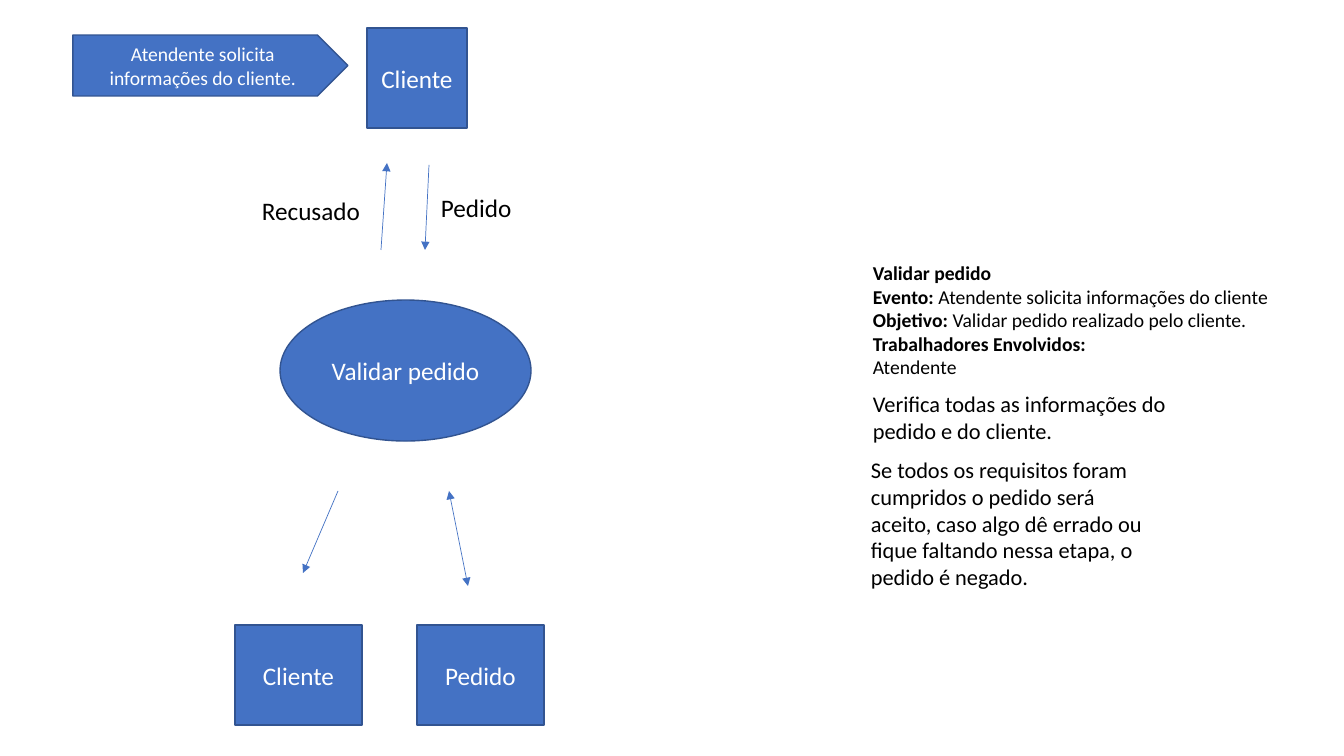
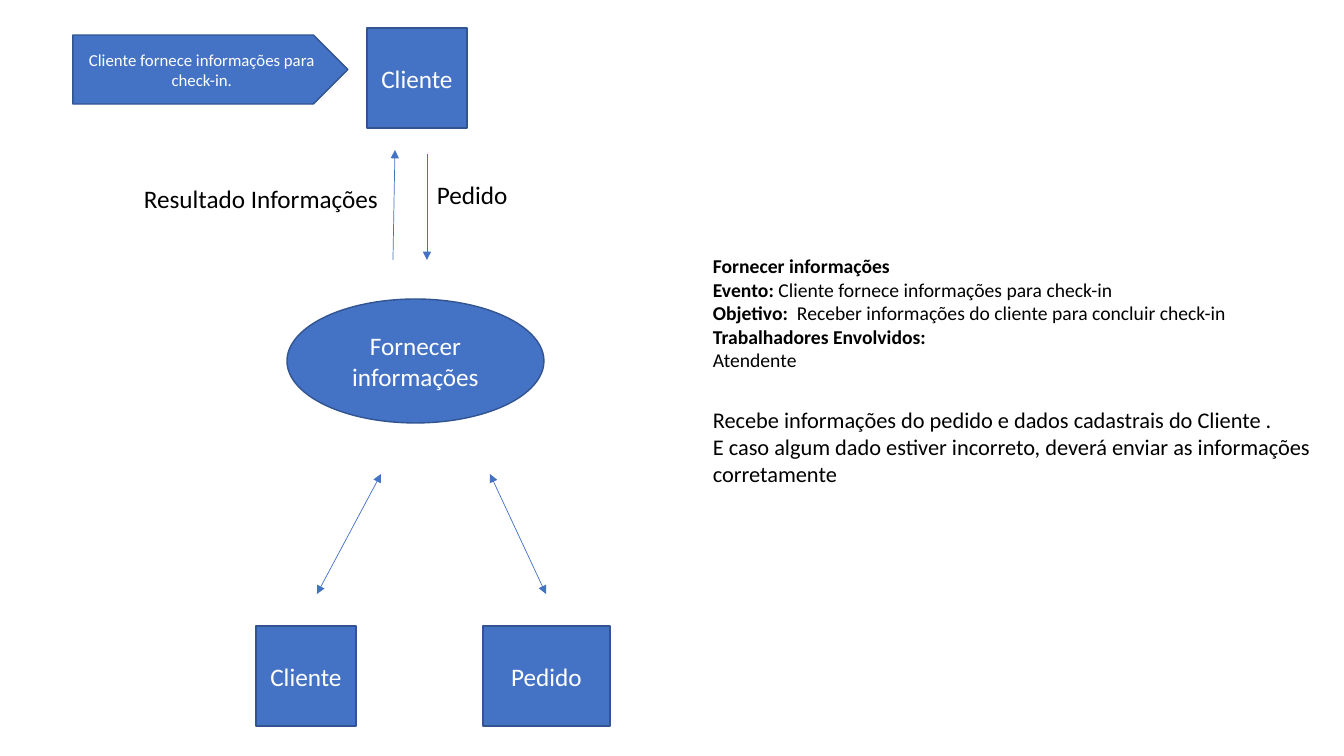
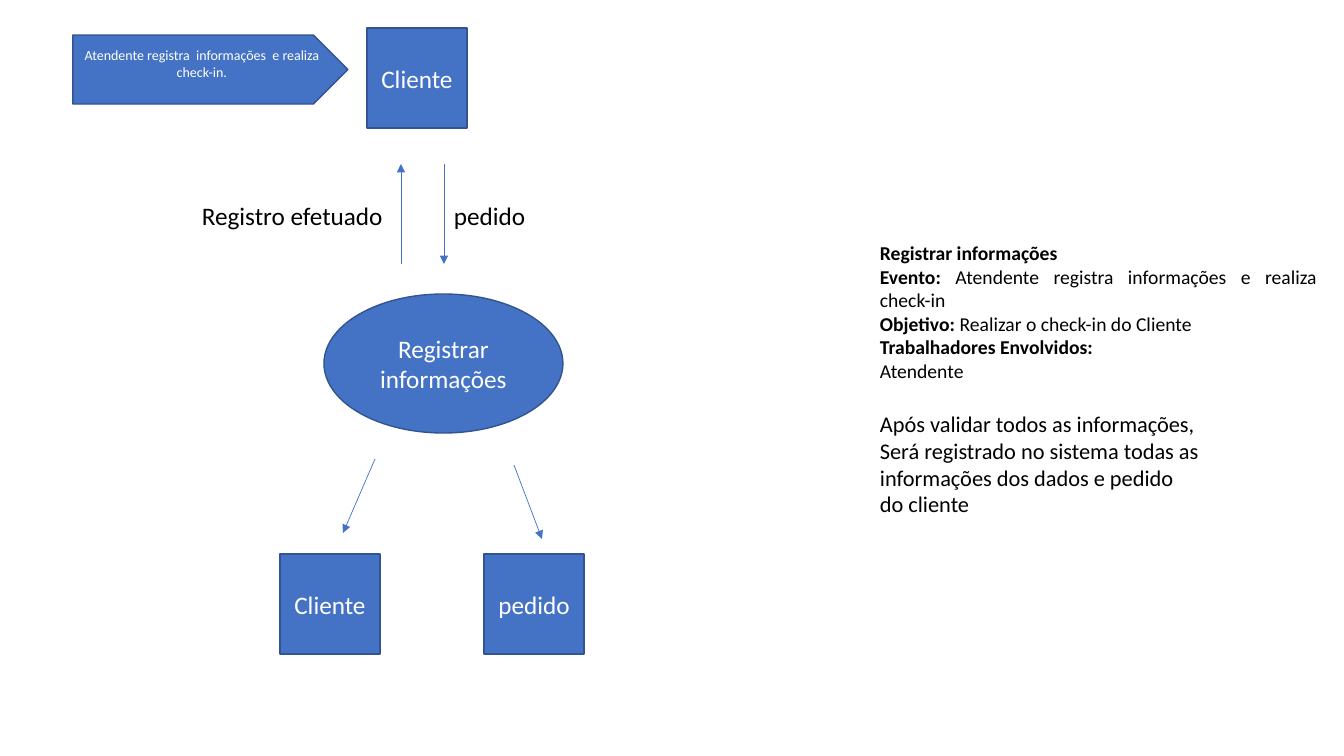
from lxml.etree import SubElement
from pptx import Presentation
from pptx.dml.color import RGBColor
from pptx.enum.shapes import MSO_CONNECTOR, MSO_SHAPE
from pptx.enum.text import MSO_ANCHOR, PP_ALIGN
from pptx.oxml.ns import qn
from pptx.util import Emu, Pt

# Content: boxes are (left, top, width, height), lengths in pixels
COLORS = {"fill": "4472C4", "outline": "325491", "light": "FFFFFF", "dark": "000000"}
FONT = "Calibri"
CLIENT_BOX = (367, 28, 100, 100)
FLAG_LEFT, FLAG_TOP, FLAG_WIDTH = 73, 35, 275
ONE_WAY, TWO_WAY = False, True

PROCESSES = [
    {
        "flag": ("Atendente solicita informações do cliente.", 61, 14, 0),
        "process": ("Validar\u00a0pedido", (280, 300, 251, 141)),
        "stores": [("Cliente", (235, 625, 127, 100)), ("Pedido", (417, 625, 127, 100))],
        "labels": [("Recusado", (252, 190, 170, 40)), ("Pedido", (431, 187, 197, 40))],
        "arrows": [
            ((381, 250), (387, 163), ONE_WAY),
            ((429, 165), (425, 250), ONE_WAY),
            ((338, 491), (303, 573), ONE_WAY),
            ((449, 491), (468, 586), TWO_WAY),
        ],
        "summary_box": (863, 256, 482, 129),
        "summary": [
            ("Validar pedido", ""),
            ("Evento: ", "Atendente solicita informações do cliente"),
            ("Objetivo:", "\u00a0Validar pedido realizado pelo cliente."),
        ],
        "details": [
            (["Verifica todas as informações do pedido e do cliente."], (863, 385, 342, 65)),
            (["Se todos os requisitos foram cumpridos o pedido será aceito, caso algo dê "
              "errado ou fique faltando nessa etapa, o pedido é negado."],
             (861, 451, 302, 146)),
        ],
    },
    {
        "flag": ("Cliente fornece informações para check-in.", 69, 12, 0),
        "process": ("Fornecer informações", (287, 299, 257, 124)),
        "stores": [("Cliente", (256, 626, 100, 100)), ("Pedido", (483, 626, 127, 100))],
        "labels": [("Resultado Informações", (134, 178, 262, 40)),
                   ("Pedido", (427, 174, 98, 40))],
        "arrows": [
            ((393, 260), (395, 150), ONE_WAY),
            ((427, 154), (427, 260), ONE_WAY),
            ((381, 474), (317, 594), TWO_WAY),
            ((490, 474), (546, 594), TWO_WAY),
        ],
        "summary_box": (703, 249, 538, 129),
        "summary": [
            ("Fornecer informações", ""),
            ("Evento: ", "Cliente fornece informações para check-in"),
            ("Objetivo:\u00a0", " Receber informações do cliente para concluir check-in"),
        ],
        "details": [
            (["Recebe informações do pedido e dados cadastrais do Cliente .",
              "E caso algum dado estiver incorreto, deverá enviar as informações corretamente"],
             (703, 401, 625, 92)),
        ],
    },
    {
        "flag": ("Atendente registra  informações  e realiza check-in.", 69, 10, 12),
        "process": ("Registrar informações", (324, 294, 239, 139)),
        "stores": [("Cliente", (280, 554, 100, 100)), ("pedido", (484, 554, 100, 100))],
        "labels": [("Registro efetuado", (192, 195, 302, 40)),
                   ("pedido", (444, 195, 197, 40))],
        "arrows": [
            ((401, 264), (401, 164), ONE_WAY),
            ((444, 164), (444, 264), ONE_WAY),
            ((375, 459), (343, 533), ONE_WAY),
            ((514, 465), (542, 539), ONE_WAY),
        ],
        "summary_box": (870, 236, 457, 152),
        "summary": [
            ("Registrar informações", ""),
            ("Evento: ", "Atendente registra informações e realiza check-in"),
            ("Objetivo:\u00a0", "Realizar o check-in do Cliente"),
        ],
        "details": [
            (["Após validar todos as informações, Será registrado no sistema todas as "
              "informações dos dados e pedido do cliente"], (870, 405, 342, 119)),
        ],
    },
]
WORKERS = [("Trabalhadores Envolvidos:", ""), ("", "Atendente")]


# Helpers
def px(length):
    return Emu(round(length * 914400 / 100.8))


def color(name):
    return RGBColor.from_string(COLORS[name])


def write(frame, lines, size, ink, align):
    """Each line is a (bold part, plain part) pair."""
    frame.word_wrap = True
    for index, parts in enumerate(lines):
        para = frame.add_paragraph() if index else frame.paragraphs[0]
        para.alignment = align
        para.font.name, para.font.size = FONT, Pt(size)
        para.font.color.rgb = color(ink)
        for text, bold in zip(parts, (True, False)):
            if text:
                span = para.add_run()
                span.text = text
                span.font.bold = bold


def add_block(page, kind, box, text, size=18):
    block = page.shapes.add_shape(kind, *map(px, box))
    block.shadow.inherit = False
    block.fill.solid()
    block.fill.fore_color.rgb = color("fill")
    block.line.color.rgb = color("outline")
    block.line.width = Pt(1)
    block.text_frame.vertical_anchor = MSO_ANCHOR.MIDDLE
    write(block.text_frame, [("", text)], size, "light", PP_ALIGN.CENTER)
    return block


def add_text(page, box, lines, size, align=PP_ALIGN.LEFT):
    frame = page.shapes.add_textbox(*map(px, box)).text_frame
    write(frame, lines, size, "dark", align)


def add_arrow(page, start, end, two_way):
    arrow = page.shapes.add_connector(MSO_CONNECTOR.STRAIGHT, *map(px, start + end))
    arrow.line.color.rgb = color("fill")
    arrow.line.width = Pt(0.5)
    outline = arrow.line._get_or_add_ln()
    for tag in ["a:headEnd", "a:tailEnd"] if two_way else ["a:tailEnd"]:
        SubElement(outline, qn(tag), type="triangle")
    SubElement(arrow._element.spPr, qn("a:effectLst"))


# Slides
deck = Presentation()
deck.slide_width, deck.slide_height = px(1344), px(756)

for item in PROCESSES:
    page = deck.slides.add_slide(deck.slide_layouts[6])

    # Flow diagram
    add_block(page, MSO_SHAPE.RECTANGLE, CLIENT_BOX, "Cliente")
    name, box = item["process"]
    add_block(page, MSO_SHAPE.OVAL, box, name)
    event, height, size, lift = item["flag"]
    flag = add_block(page, MSO_SHAPE.PENTAGON,
                     (FLAG_LEFT, FLAG_TOP, FLAG_WIDTH, height), event, size)
    flag.text_frame.margin_bottom += px(lift)
    for name, box in item["stores"]:
        add_block(page, MSO_SHAPE.RECTANGLE, box, name)
    for start, end, two_way in item["arrows"]:
        add_arrow(page, start, end, two_way)
    for name, box in item["labels"]:
        add_text(page, box, [("", name)], 18)

    # Description
    add_text(page, item["summary_box"], item["summary"] + WORKERS, 14, PP_ALIGN.JUSTIFY)
    for lines, box in item["details"]:
        add_text(page, box, [("", line) for line in lines], 16)

deck.save("out.pptx")
